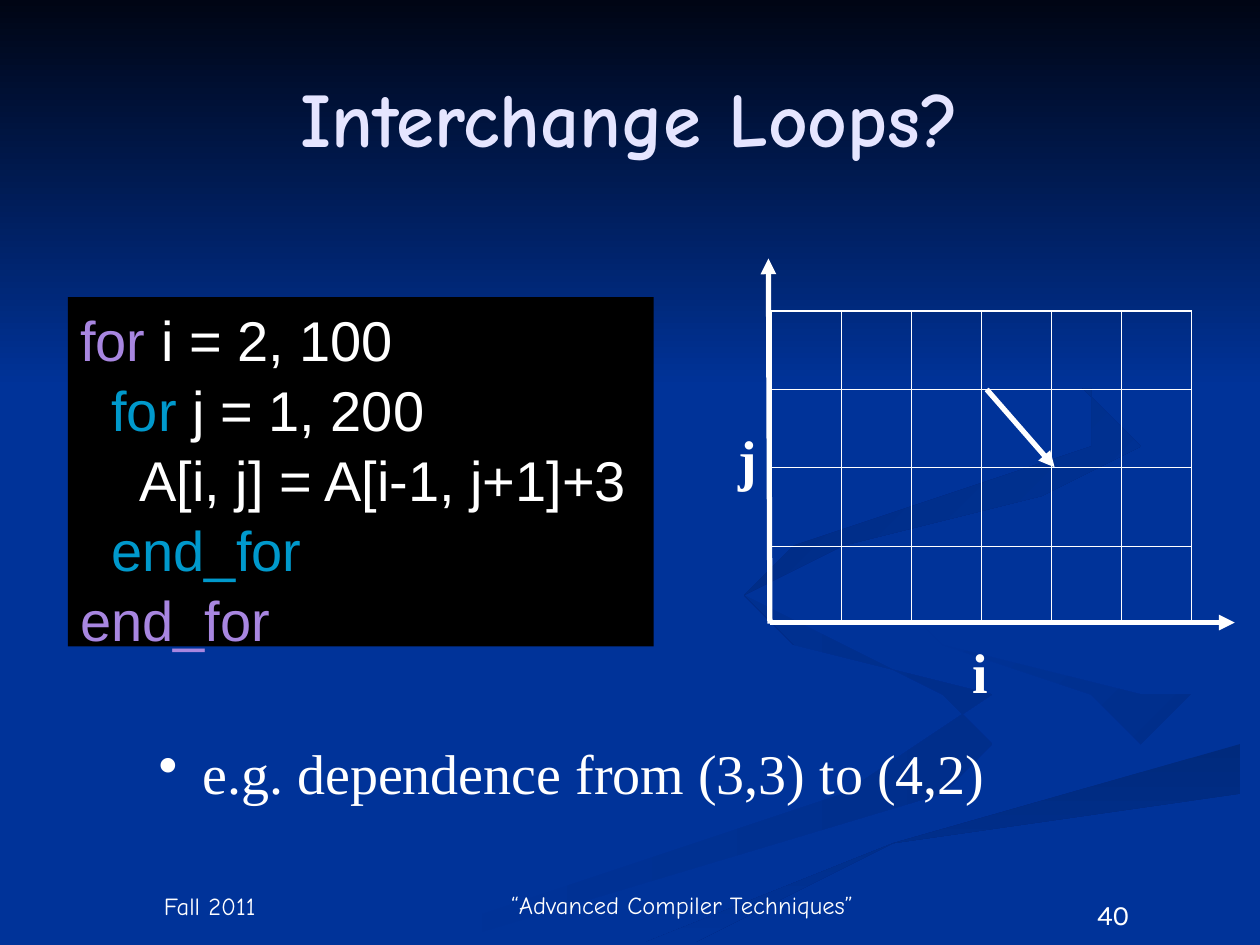
from pptx import Presentation
from pptx import util as u
from pptx.dml.color import RGBColor
from pptx.enum import shapes, text
from pptx.oxml.ns import qn
from lxml import etree

WHITE = RGBColor(0xFF, 0xFF, 0xFF)
BLACK = RGBColor(0, 0, 0)
LAVENDER = RGBColor(0xE5, 0xE5, 0xFF)
PURPLE = RGBColor(0xA8, 0x86, 0xE0)
CYAN = RGBColor(0x00, 0x99, 0xCC)
BLUE = RGBColor(0x00, 0x33, 0x99)
NIGHT = RGBColor(0x00, 0x05, 0x14)
SHADE = RGBColor(0x00, 0x2E, 0x8B)
DEEP = RGBColor(0x00, 0x2A, 0x7D)
SERIF, HAND = "Times New Roman", "Comic Neue"
TOP, BOTTOM = text.MSO_ANCHOR.TOP, text.MSO_ANCHOR.BOTTOM
LEFT, CENTER = text.PP_ALIGN.LEFT, text.PP_ALIGN.CENTER

TITLE = "Interchange Loops?"
CODE = [
    [("for", PURPLE), (" i = 2, 100", WHITE)],
    [("  ", WHITE), ("for", CYAN), (" j = 1, 200", WHITE)],
    [("    A[i, j] = A[i-1, j+1]+3", WHITE)],
    [("  ", WHITE), ("end_for", CYAN)],
    [("end_for", PURPLE)],
]
NOTE = "e.g. dependence from (3,3) to (4,2)"
FOOTERS = [
    ("Fall 2011", (1.27, 17.78, 5.92, 0.91), HAND, 14, BOTTOM),
    ("“Advanced Compiler Techniques”", (9.73, 17.78, 8.05, 0.89), HAND, 14, BOTTOM),
    ("40", (20.32, 17.96, 4.24, 1.02), "Karla", 16, TOP),
]
AXIS_LABELS = [("i", (19.35, 12.73, 0.89, 1.63)), ("j", (14.63, 8.43, 0.89, 1.63))]
ARROWS = [
    (15.54, 12.55, 24.89, 12.55),
    (15.52, 12.57, 15.49, 5.21),
    (19.89, 7.85, 21.26, 9.42),
]
GRID_BOX, GRID_ROWS, GRID_COLS = (15.54, 6.27, 8.48, 6.32), 4, 6
THIN, THICK = 0.45, 1.08

RIBBONS = [
    (BLUE, SHADE, 0, [
        (14.6, 11.7), (15.6, 12.6), (19.6, 13.9), (20, 14.4), (17.4, 15.6),
        (7.6, 19), (9.2, 19), (19.2, 15.6), (20.3, 14.8), (19.3, 13.8)]),
    (BLUE, SHADE, 45, [
        (18.4, 11.8), (19.4, 13), (22.4, 14), (23.3, 14.8), (22.7, 15.4),
        (23.9, 14.5), (23, 13.7), (19.3, 12.7)]),
    (DEEP, BLUE, 90, [
        (12.8, 19), (14.5, 19), (18.3, 17.3), (25.4, 15.5), (25.4, 14.8),
        (17.7, 17)]),
    (DEEP, BLUE, 45, [
        (17.3, 10.9), (21, 10.2), (22.7, 8.7), (21.4, 7), (19.4, 5.9),
        (22, 7.4), (22.4, 9), (19.4, 10.1), (15.6, 11), (14.7, 11.8),
        (15.8, 12.7), (15.1, 11.9)]),
]


def cm(values):
    return [u.Cm(v) for v in values]


def set_font(font, name, size, color=WHITE, bold=False):
    font.name, font.size, font.bold = name, u.Pt(size), bold
    font.color.rgb = color


def shade(sp, start, end, angle):
    sp.shadow.inherit = False
    sp.line.fill.background()
    sp.fill.gradient()
    sp.fill.gradient_angle = (360 - angle) % 360
    for stop, color in zip(sp.fill.gradient_stops, (start, end)):
        stop.color.rgb = color


def add_backdrop(s):
    s.background.fill.solid()
    s.background.fill.fore_color.rgb = BLUE
    for start, end, angle, points in RIBBONS:
        fb = s.shapes.build_freeform(*points[0], scale=u.Cm(1))
        fb.add_line_segments(points[1:], close=True)
        shade(fb.convert_to_shape(), start, end, angle)
    sky = s.shapes.add_shape(shapes.MSO_SHAPE.RECTANGLE, *cm((0, 0, 25.4, 7.82)))
    shade(sky, NIGHT, BLUE, 90)


def add_text(s, content, box, name, size, bold=False, wrap=True,
             anchor=TOP, align=LEFT):
    tf = s.shapes.add_textbox(*cm(box)).text_frame
    tf.word_wrap, tf.vertical_anchor = wrap, anchor
    p = tf.paragraphs[0]
    p.text, p.alignment = content, align
    set_font(p.font, name, size, bold=bold)
    return p


def add_bullet(p, indent):
    pPr = p._p.get_or_add_pPr()
    pPr.set("marL", str(indent))
    pPr.set("indent", str(-indent))
    pPr.insert(0, etree.Element(qn("a:buChar"), char="•"))


def set_borders(cell, widths):
    tcPr = cell._tc.get_or_add_tcPr()
    for i, (tag, width) in enumerate(zip(("lnL", "lnR", "lnT", "lnB"), widths)):
        ln = etree.Element(qn("a:" + tag), w=str(u.Pt(width)))
        fill = etree.SubElement(ln, qn("a:solidFill"))
        etree.SubElement(fill, qn("a:srgbClr"), val=str(WHITE))
        tcPr.insert(i, ln)


def add_grid(s):
    table = s.shapes.add_table(GRID_ROWS, GRID_COLS, *cm(GRID_BOX)).table
    table.first_row = table.horz_banding = False
    for r in range(GRID_ROWS):
        for c in range(GRID_COLS):
            cell = table.cell(r, c)
            cell.fill.background()
            outer = (c == 0, c == GRID_COLS - 1, r == 0, r == GRID_ROWS - 1)
            set_borders(cell, [THICK if edge else THIN for edge in outer])


def add_arrow(s, ends):
    line = s.shapes.add_connector(shapes.MSO_CONNECTOR.STRAIGHT, *cm(ends))
    line.line.color.rgb, line.line.width = WHITE, u.Pt(3)
    etree.SubElement(line.line._get_or_add_ln(), qn("a:tailEnd"), type="triangle")
    etree.SubElement(line._element.spPr, qn("a:effectLst"))


def add_code(s):
    sp = s.shapes.add_shape(shapes.MSO_SHAPE.RECTANGLE, *cm((1.37, 5.99, 11.81, 7.04)))
    sp.shadow.inherit = False
    sp.fill.solid()
    sp.fill.fore_color.rgb = BLACK
    sp.line.fill.background()
    tf = sp.text_frame
    tf.vertical_anchor = TOP
    for i, runs in enumerate(CODE):
        p = tf.add_paragraph() if i else tf.paragraphs[0]
        p.alignment, p.line_spacing = LEFT, 1.04
        for content, color in runs:
            r = p.add_run()
            r.text = content
            set_font(r.font, "Arial", 32, color)


def add_title(s):
    title = s.shapes.title
    s.shapes._spTree.append(title._element)
    title.left, title.top, title.width, title.height = cm((1.27, 0.76, 22.86, 3.18))
    tf = title.text_frame
    tf.text, tf.vertical_anchor = TITLE, text.MSO_ANCHOR.MIDDLE
    p = tf.paragraphs[0]
    p.alignment = CENTER
    set_font(p.font, HAND, 44, LAVENDER, True)


def main():
    prs = Presentation()
    prs.slide_width, prs.slide_height = cm((25.4, 19.05))
    s = prs.slides.add_slide(prs.slide_layouts[5])
    add_backdrop(s)
    add_title(s)
    for content, box, name, size, anchor in FOOTERS:
        add_text(s, content, box, name, size, anchor=anchor, align=CENTER)
    add_code(s)
    p = add_text(s, NOTE, (2.95, 14.76, 20.73, 1.63), SERIF, 32)
    add_bullet(p, u.Cm(0.88))
    add_grid(s)
    for content, box in AXIS_LABELS:
        add_text(s, content, box, SERIF, 32, bold=True, wrap=False)
    for ends in ARROWS:
        add_arrow(s, ends)
    prs.save("out.pptx")


if __name__ == "__main__":
    main()
